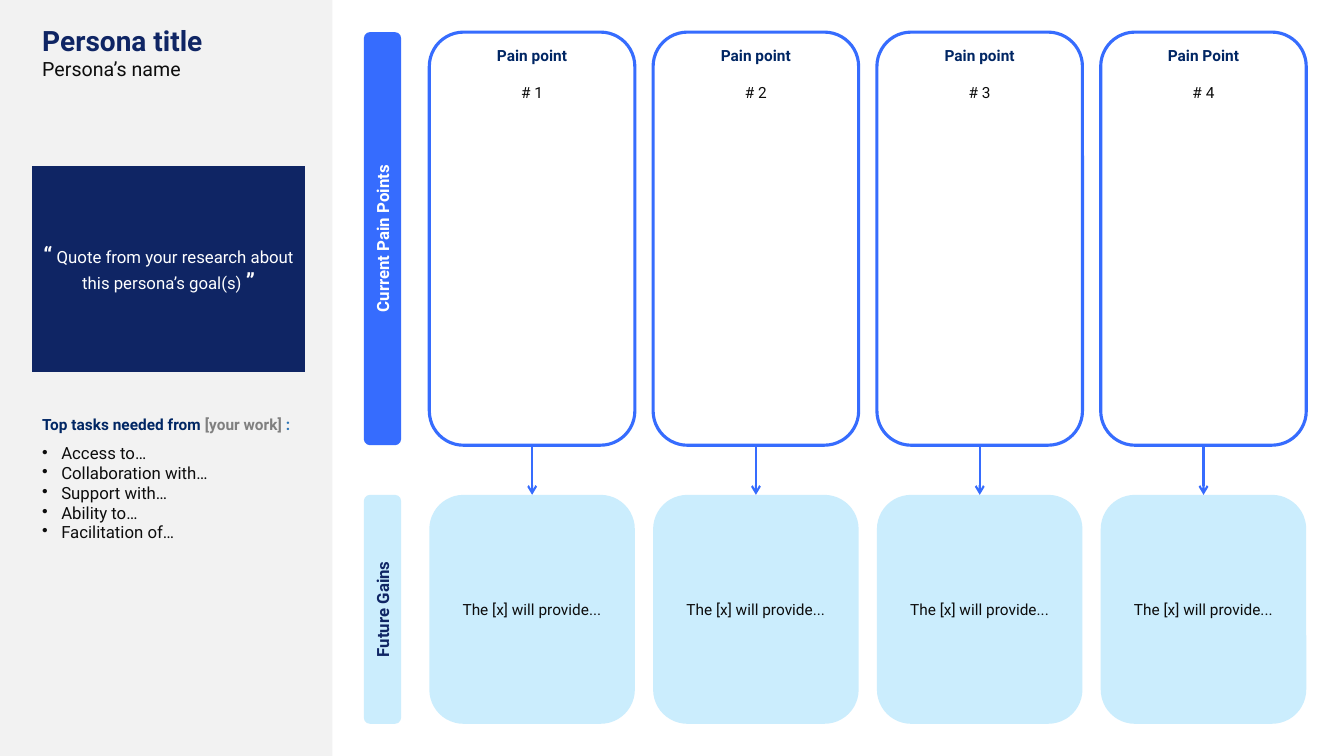
import pptx
import pptx.util
import pptx.dml.color
import pptx.enum.shapes
import pptx.enum.text
import pptx.oxml.ns
import lxml.etree

Cm = pptx.util.Cm
Pt = pptx.util.Pt
qn = pptx.oxml.ns.qn
Shape = pptx.enum.shapes.MSO_SHAPE
Align = pptx.enum.text.PP_ALIGN
Anchor = pptx.enum.text.MSO_ANCHOR

FONT = "Roboto"
NAVY, DEEP, BLUE, SKY = "0F2564", "002664", "366CFE", "CBEDFD"
WHITE, INK, GREY, PALE, STEEL = "FFFFFF", "0D0D0D", "808080", "F2F2F2", "2E75B6"
PLAIN = "{2D5ABB26-0587-4C30-8999-92F81FD0307C}"

PAINS = ["Pain point", "Pain point", "Pain point", "Pain Point"]
TASKS = ["Access to…", "Collaboration with…", "Support with…", "Ability to…", "Facilitation of…"]
LEFT, STEP, WIDTH = 10.82, 5.64, 5.18
PAIN_TOP, PAIN_TALL = 0.81, 10.41
GAIN_TOP, GAIN_TALL = 12.47, 5.77


def tint(code):
    """Turn a hex string into a colour."""
    return pptx.dml.color.RGBColor.from_string(code)


def write(frame, lines, align=Align.LEFT):
    """Fill a text frame with lines of (text, size, colour, bold) runs."""
    frame.text = "\n".join("" for _ in lines)
    for para, runs in zip(frame.paragraphs, lines):
        para.alignment = align
        for text, size, code, bold in runs:
            run = para.add_run()
            run.text = text
            run.font.name = FONT
            run.font.size = Pt(size)
            run.font.bold = bold
            run.font.color.rgb = tint(code)


def add_box(slide, kind, left, top, width, height, fill):
    """Add a flat filled shape without an outline."""
    box = slide.shapes.add_shape(kind, Cm(left), Cm(top), Cm(width), Cm(height))
    box.shadow.inherit = False
    box.fill.solid()
    box.fill.fore_color.rgb = tint(fill)
    box.line.fill.background()
    box.text_frame.vertical_anchor = Anchor.MIDDLE
    return box


def add_label(slide, text, top, height, fill, code):
    """Add a row label that reads upwards."""
    box = add_box(slide, Shape.ROUNDED_RECTANGLE, 9.17, top, 0.94, height, fill)
    write(box.text_frame, [[(text, 12, code, True)]], Align.CENTER)
    box.text_frame.word_wrap = False
    box.text_frame._txBody.bodyPr.set("vert", "vert270")


def add_pain(slide, left, title, rank):
    """Add an outlined pain point card."""
    box = add_box(slide, Shape.ROUNDED_RECTANGLE, left, PAIN_TOP, WIDTH, PAIN_TALL, WHITE)
    shade = box._element.spPr.find(qn("a:solidFill"))[0]
    lxml.etree.SubElement(shade, qn("a:alpha")).set("val", "20000")
    box.line.color.rgb = tint(BLUE)
    box.line.width = Pt(2.25)
    frame = box.text_frame
    frame.margin_left = frame.margin_right = Cm(0.1)
    frame.margin_top = frame.margin_bottom = Cm(0.1)
    frame.vertical_anchor = Anchor.TOP
    write(frame, [[(title, 11, DEEP, True)], [(f"# {rank}", 11, INK, False)]], Align.CENTER)
    frame.paragraphs[1].space_before = Pt(13)
    return box


def add_gain(slide, left):
    """Add a filled future gain card."""
    box = add_box(slide, Shape.ROUNDED_RECTANGLE, left, GAIN_TOP, WIDTH, GAIN_TALL, SKY)
    write(box.text_frame, [[("The [x] will provide...", 11, INK, False)]], Align.CENTER)
    return box


def add_arrow(slide, pain, gain):
    """Join a pain card to the gain card below it."""
    link = slide.shapes.add_connector(pptx.enum.shapes.MSO_CONNECTOR.STRAIGHT, 0, 0, 0, 0)
    link.begin_connect(pain, 2)
    link.end_connect(gain, 0)
    link.line.color.rgb = tint(BLUE)
    link.line.width = Pt(1.5)
    lxml.etree.SubElement(link.line._ln, qn("a:tailEnd")).set("type", "arrow")
    lxml.etree.SubElement(link._element.spPr, qn("a:effectLst"))


def add_bullet(para):
    """Give a paragraph a hanging bullet."""
    props = para._p.get_or_add_pPr()
    props.set("marL", str(Cm(0.48)))
    props.set("indent", str(-Cm(0.48)))
    lxml.etree.SubElement(props, qn("a:buChar")).set("char", "•")


def add_persona(slide):
    """Add the persona table on the side panel."""
    rows = [3.68, 5.18, 1.7, 5.82]
    table = slide.shapes.add_table(4, 1, Cm(0.81), Cm(0.51), Cm(6.88), Cm(sum(rows))).table
    table.first_row = table.horz_banding = False
    table._tbl.tblPr.find(qn("a:tableStyleId")).text = PLAIN
    for row, height in zip(table.rows, rows):
        row.height = Cm(height)
        row.cells[0].fill.background()
    name, quote, head, tasks = [row.cells[0] for row in table.rows]
    write(name.text_frame, [[("Persona title", 20, NAVY, True)],
                            [("Persona’s name", 14, INK, False)]])
    quote.fill.solid()
    quote.fill.fore_color.rgb = tint(NAVY)
    quote.vertical_anchor = Anchor.MIDDLE
    words = " Quote from your research about this persona’s goal(s) "
    write(quote.text_frame, [[("“", 16, WHITE, True), (words, 12, WHITE, False),
                              ("”", 16, WHITE, True)]], Align.CENTER)
    head.vertical_anchor = Anchor.BOTTOM
    write(head.text_frame, [[("Top tasks needed from ", 11, DEEP, True),
                             ("[your work] ", 11, GREY, True), (":", 11, STEEL, True)]])
    write(tasks.text_frame, [[(task, 12, INK, False)] for task in TASKS])
    for para in tasks.text_frame.paragraphs:
        add_bullet(para)


def main():
    """Build and save the persona slide."""
    deck = pptx.Presentation()
    deck.slide_width, deck.slide_height = Cm(33.87), Cm(19.05)
    slide = deck.slides.add_slide(deck.slide_layouts[6])
    add_box(slide, Shape.RECTANGLE, 0, 0, 8.38, 19.05, PALE)
    add_persona(slide)
    add_label(slide, "Current Pain Points", PAIN_TOP, PAIN_TALL, BLUE, WHITE)
    add_label(slide, "Future Gains", GAIN_TOP, GAIN_TALL, SKY, NAVY)
    for rank, title in enumerate(PAINS):
        left = LEFT + rank * STEP
        gain = add_gain(slide, left)
        pain = add_pain(slide, left, title, rank + 1)
        add_arrow(slide, pain, gain)
    deck.save("out.pptx")


if __name__ == "__main__":
    main()
